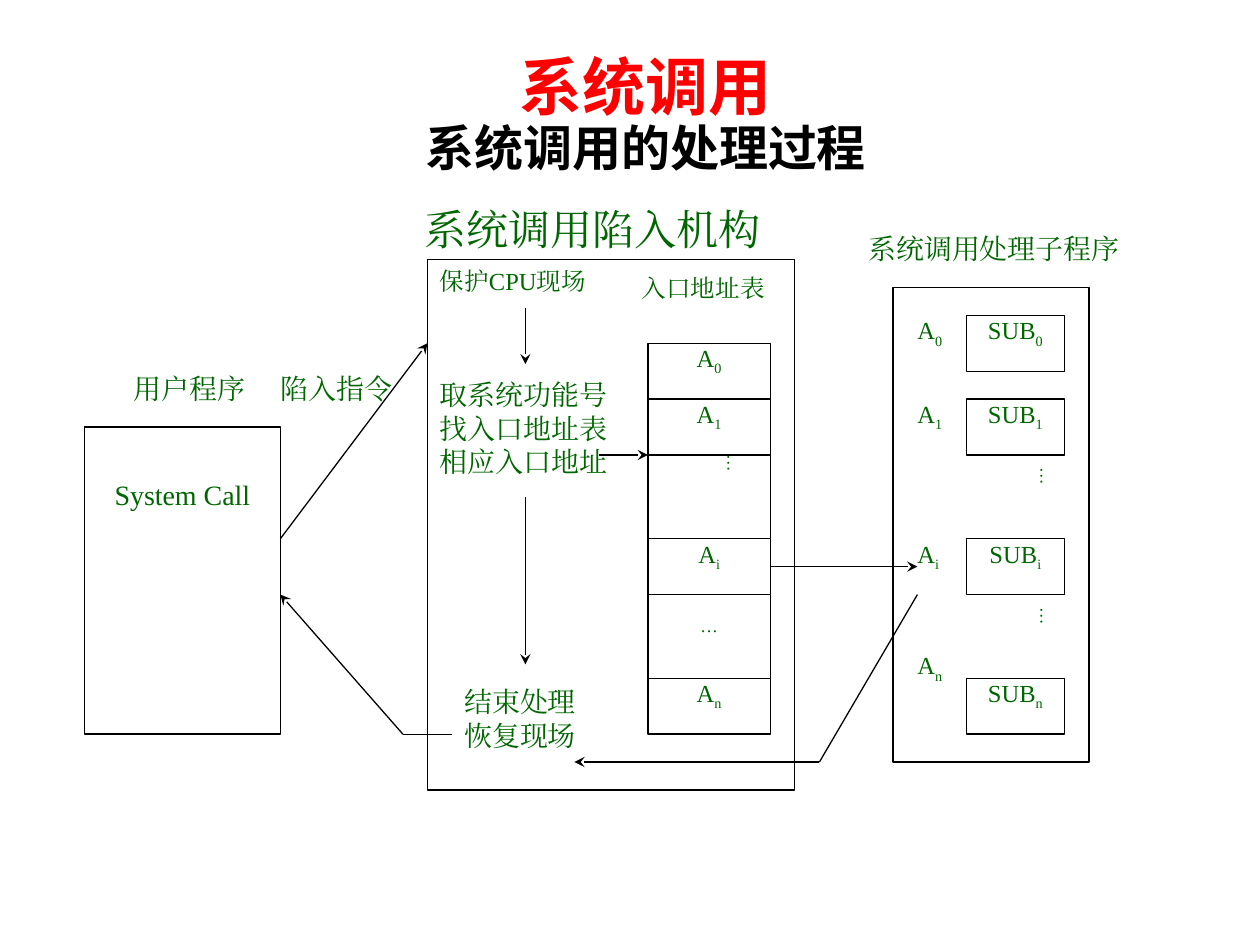
from typing import NamedTuple

from lxml import etree
from pptx import Presentation
from pptx.dml.color import RGBColor
from pptx.enum.shapes import MSO_CONNECTOR, MSO_SHAPE
from pptx.enum.text import MSO_ANCHOR, PP_ALIGN
from pptx.oxml.ns import qn
from pptx.util import Inches, Pt

CENTER, JUSTIFY = PP_ALIGN.CENTER, PP_ALIGN.JUSTIFY
TOP = MSO_ANCHOR.TOP
RECTANGLE, STRAIGHT = MSO_SHAPE.RECTANGLE, MSO_CONNECTOR.STRAIGHT

COLORS = {"title": "FF0000", "subtitle": "000000", "text": "006600", "line": "000000"}
SERIF, SANS = "Times New Roman", "Noto Sans CJK SC"
WIDTH, HEIGHT = 10, 7.5
LEFT, COL = 0.67, 1.75 / 9
UPPER, ROW = 2.06, 4.21 / 19
PADDED = (0.1, 0.05, 0.1, 0.05)
FLUSH = (0, 0, 0, 0)


class Area(NamedTuple):
    col: float
    row: float
    cols: float
    rows: float


class Label(NamedTuple):
    text: str
    area: Area
    size: int = 16
    insets: tuple = FLUSH


class Entry(NamedTuple):
    text: str
    row: float
    rows: float
    insets: tuple = FLUSH
    vertical: bool = False


class Route(NamedTuple):
    points: tuple
    arrow: bool = True


LABELS = [
    Label("用户程序", Area(2, 4, 5, 2)),
    Label("陷入指令", Area(8, 4, 5, 2)),
    Label("系统调用处理子程序", Area(32, -1, 10.85, 2)),
    Label("系统调用陷入机构", Area(13.9, -2, 15.7, 1.6), 24),
    Label("保护CPU现场", Area(14, 0, 8, 3.2), 14, PADDED),
    Label("入口地址表", Area(22.25, 0.25, 6.45, 1.9), 14, PADDED),
    Label("取系统功能号\n找入口地址表\n相应入口地址", Area(14, 4, 8, 4.5), 16, PADDED),
    Label("结束处理\n恢复现场", Area(15, 15, 6, 3.4), 16, PADDED),
]
FRAMES = [Area(14, 0, 15, 19), Area(33, 1, 8, 17)]
ENTRIES = [
    Entry("A_0", 3, 2),
    Entry("A_1", 5, 2),
    Entry("…", 7, 3, (0, 0, 0.2, 0), True),
    Entry("A_i", 10, 2),
    Entry("…", 12, 3, (0, 0.16, 0, 0)),
    Entry("A_n", 15, 2),
]
SUBROUTINES = [("0", 2, 2), ("1", 5, 5), ("i", 10, 10), ("n", 14, 15)]
ROUTES = [
    Route(((18, 1.75), (18, 3.75))),
    Route(((18, 8.5), (18, 14.5))),
    Route(((21, 7), (23, 7))),
    Route(((15, 17), (13, 17), (8, 12))),
    Route(((8, 10), (14, 3))),
    Route(((28, 11), (34, 11))),
    Route(((34, 12), (30, 18), (20, 18))),
]


def place(col: float, row: float) -> tuple:
    return Inches(LEFT + col * COL), Inches(UPPER + row * ROW)


def bounds(area: Area) -> tuple:
    return (*place(area.col, area.row), Inches(area.cols * COL), Inches(area.rows * ROW))


def write(shape, text: str, *, size=14, color="text", font=SERIF, bold=False,
          align=JUSTIFY, insets=FLUSH, vertical=False, spacing=None) -> None:
    frame = shape.text_frame
    frame.word_wrap = True
    frame.vertical_anchor = TOP
    (frame.margin_left, frame.margin_top,
     frame.margin_right, frame.margin_bottom) = map(Inches, insets)
    if vertical:
        frame._txBody.bodyPr.set("vert", "eaVert")
    for index, line in enumerate(text.split("\n")):
        paragraph = frame.paragraphs[0] if index == 0 else frame.add_paragraph()
        paragraph.alignment = align
        paragraph.line_spacing = spacing
        for level, part in enumerate(line.split("_")):
            add_run(paragraph, part, size, color, font, bold, level == 1)


def add_run(paragraph, text: str, size: int, color: str, font: str,
            bold: bool, subscript: bool = False) -> None:
    run = paragraph.add_run()
    run.text = text
    run.font.size = Pt(size)
    run.font.bold = bold
    run.font.name = font
    run.font.color.rgb = RGBColor.from_string(COLORS[color])
    properties = run._r.get_or_add_rPr()
    etree.SubElement(properties, qn("a:ea")).set("typeface", font)
    if subscript:
        properties.set("baseline", "-25000")


def draw_box(slide, area: Area):
    box = slide.shapes.add_shape(RECTANGLE, *bounds(area))
    box.shadow.inherit = False
    box.fill.background()
    box.line.color.rgb = RGBColor.from_string(COLORS["line"])
    box.line.width = Pt(0.75)
    return box


def draw_text(slide, text: str, area: Area, **style) -> None:
    write(slide.shapes.add_textbox(*bounds(area)), text, **style)


def draw_route(slide, route: Route) -> None:
    legs = list(zip(route.points, route.points[1:]))
    for number, (start, end) in enumerate(legs, 1):
        leg = slide.shapes.add_connector(STRAIGHT, *place(*start), *place(*end))
        leg.line.color.rgb = RGBColor.from_string(COLORS["line"])
        leg.line.width = Pt(0.75)
        if route.arrow and number == len(legs):
            etree.SubElement(leg.line._get_or_add_ln(), qn("a:tailEnd")).set("type", "stealth")
        etree.SubElement(leg._element.spPr, qn("a:effectLst"))


def draw_title(slide) -> None:
    title = slide.shapes.add_textbox(
        Inches(0.146 * WIDTH), Inches(0.4), Inches(0.733 * WIDTH), Inches(1.07))
    write(title, "系统调用", size=36, color="title", font=SANS, bold=True,
          align=CENTER, insets=PADDED, spacing=0.9)
    heading = title.text_frame.paragraphs[0]
    heading.add_line_break()
    add_run(heading, "系统调用的处理过程", 28, "subtitle", SANS, True)


def main() -> None:
    deck = Presentation()
    deck.slide_width, deck.slide_height = Inches(WIDTH), Inches(HEIGHT)
    slide = deck.slides.add_slide(deck.slide_layouts[6])
    draw_title(slide)
    write(draw_box(slide, Area(0, 6, 8, 11)), "System Call",
          size=16, align=CENTER, insets=(0.1, 0.4, 0.1, 0.05))
    for frame in FRAMES:
        draw_box(slide, frame)
    for entry in ENTRIES:
        write(draw_box(slide, Area(23, entry.row, 5, entry.rows)), entry.text,
              size=10 if entry.text == "…" else 14, align=CENTER,
              insets=entry.insets, vertical=entry.vertical)
    for index, label_row, box_row in SUBROUTINES:
        draw_text(slide, f"A_{index}", Area(34, label_row, 2, 2))
        write(draw_box(slide, Area(36, box_row, 4, 2)), f"SUB_{index}", align=CENTER)
    for gap_row in (7, 12):
        draw_text(slide, "…", Area(36, gap_row, 4, 3), size=10,
                  insets=(0.05, 0.1, 0.05, 0.1), vertical=True)
    for label in LABELS:
        draw_text(slide, label.text, label.area, size=label.size, insets=label.insets)
    for route in ROUTES:
        draw_route(slide, route)
    deck.save("out.pptx")


if __name__ == "__main__":
    main()
